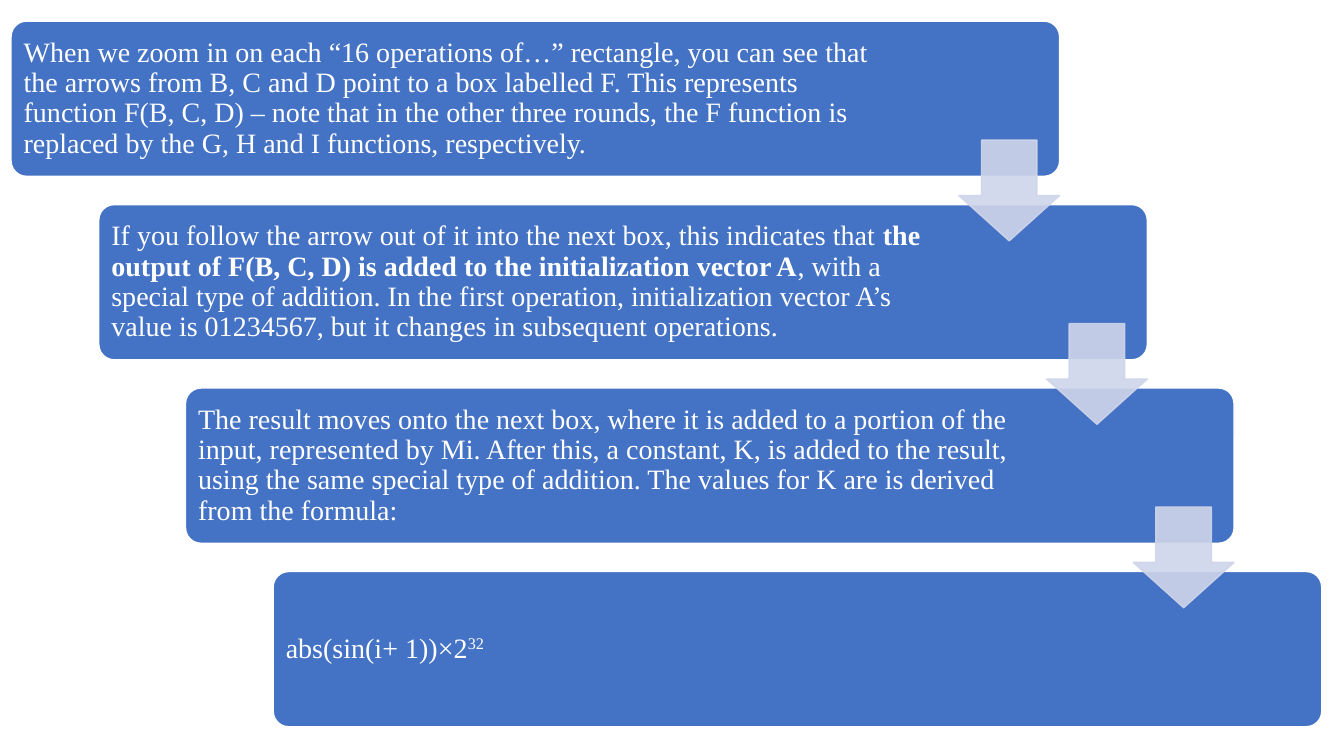
"""Build a slide with a descending staircase of four process steps."""
import pptx
import pptx.dml.color
import pptx.enum.shapes
import pptx.enum.text
import pptx.oxml.ns
import pptx.util
from lxml import etree

PX = 9144
BLUE = pptx.dml.color.RGBColor(0x44, 0x72, 0xC4)
PALE = pptx.dml.color.RGBColor(0xCF, 0xD5, 0xEA)
WHITE = pptx.dml.color.RGBColor(0xFF, 0xFF, 0xFF)
SHAPES = pptx.enum.shapes.MSO_SHAPE

BOX_W, BOX_H = 1040, 154
ARROW_SIZE = 100
ARROW_DX, ARROW_DY = 940, 118

STEPS = [
    (178, [("When we zoom in on each “16 operations of…” rectangle, you can see "
            "that the arrows from B, C and D point to a box labelled F. This "
            "represents function F(B, C, D) – note that in the other three "
            "rounds, the F function is replaced by the G, H and I functions, "
            "respectively.", "")]),
    (194, [("If you follow the arrow out of it into the next box, this indicates "
            "that", ""),
           (" the output of F(B, C, D) is added to the initialization vector A",
            "bold"),
           (", with a special type of addition. In the first operation, "
            "initialization vector A’s value is 01234567, but it changes in "
            "subsequent operations.", "")]),
    (194, [("The result moves onto the next box, where it is added to a portion "
            "of the input, represented by Mi. After this, a constant, K, is "
            "added to the result, using the same special type of addition. The "
            "values for K are is derived from the formula:", "")]),
    (194, [("abs(sin(i+ 1))×2", ""), ("32", "super")]),
]


def px(n):
    """Turn a length in px into EMU."""
    return pptx.util.Emu(n * PX)


def add_block(slide, kind, x, y, w, h, adjustments, fill, line):
    """Add a flat preset shape with a 1 pt outline."""
    sp = slide.shapes.add_shape(kind, px(x), px(y), px(w), px(h))
    for i, value in enumerate(adjustments):
        sp.adjustments[i] = value
    sp.shadow.inherit = False
    sp.fill.solid()
    sp.fill.fore_color.rgb = fill
    sp.line.color.rgb = line
    sp.line.width = pptx.util.Pt(1)
    return sp


def add_step(slide, x, y, right_inset, runs):
    """Add one step box with its text."""
    sp = add_block(slide, SHAPES.ROUNDED_RECTANGLE, x, y, BOX_W, BOX_H,
                   [0.1], BLUE, WHITE)
    tf = sp.text_frame
    tf.word_wrap = True
    tf.vertical_anchor = pptx.enum.text.MSO_ANCHOR.MIDDLE
    tf.margin_left = tf.margin_top = tf.margin_bottom = px(8)
    tf.margin_right = px(right_inset)
    p = tf.paragraphs[0]
    p.alignment = pptx.enum.text.PP_ALIGN.LEFT
    p.line_spacing = 0.9
    for text, style in runs:
        r = p.add_run()
        r.text = text
        r.font.name = "Times New Roman"
        r.font.size = pptx.util.Pt(20)
        r.font.color.rgb = WHITE
        r.font.bold = style == "bold"
        if style == "super":
            r._r.get_or_add_rPr().set("baseline", "30000")


def add_arrow(slide, x, y):
    """Add the translucent arrow that leads from the step at x, y to the next."""
    sp = add_block(slide, SHAPES.DOWN_ARROW, x + ARROW_DX, y + ARROW_DY,
                   ARROW_SIZE, ARROW_SIZE, [0.55, 0.45], PALE, PALE)
    for color in sp._element.spPr.iter(pptx.oxml.ns.qn("a:srgbClr")):
        etree.SubElement(color, pptx.oxml.ns.qn("a:alpha"), val="90000")


def add_staircase(slide, x, y, dx, dy):
    """Place the steps from x, y, dx across in all and dy down each, then arrows."""
    last = len(STEPS) - 1
    corners = [(x + round(dx * i / last), y + dy * i) for i in range(len(STEPS))]
    for (left, top), (right_inset, runs) in zip(corners, STEPS):
        add_step(slide, left, top, right_inset, runs)
    for left, top in corners[:-1]:
        add_arrow(slide, left, top)


def main():
    """Build and save the presentation."""
    prs = pptx.Presentation()
    prs.slide_width, prs.slide_height = px(1333), px(750)
    slide = prs.slides.add_slide(prs.slide_layouts[6])
    add_staircase(slide, 11, 21, 260, 182)
    prs.save("out.pptx")


if __name__ == "__main__":
    main()
